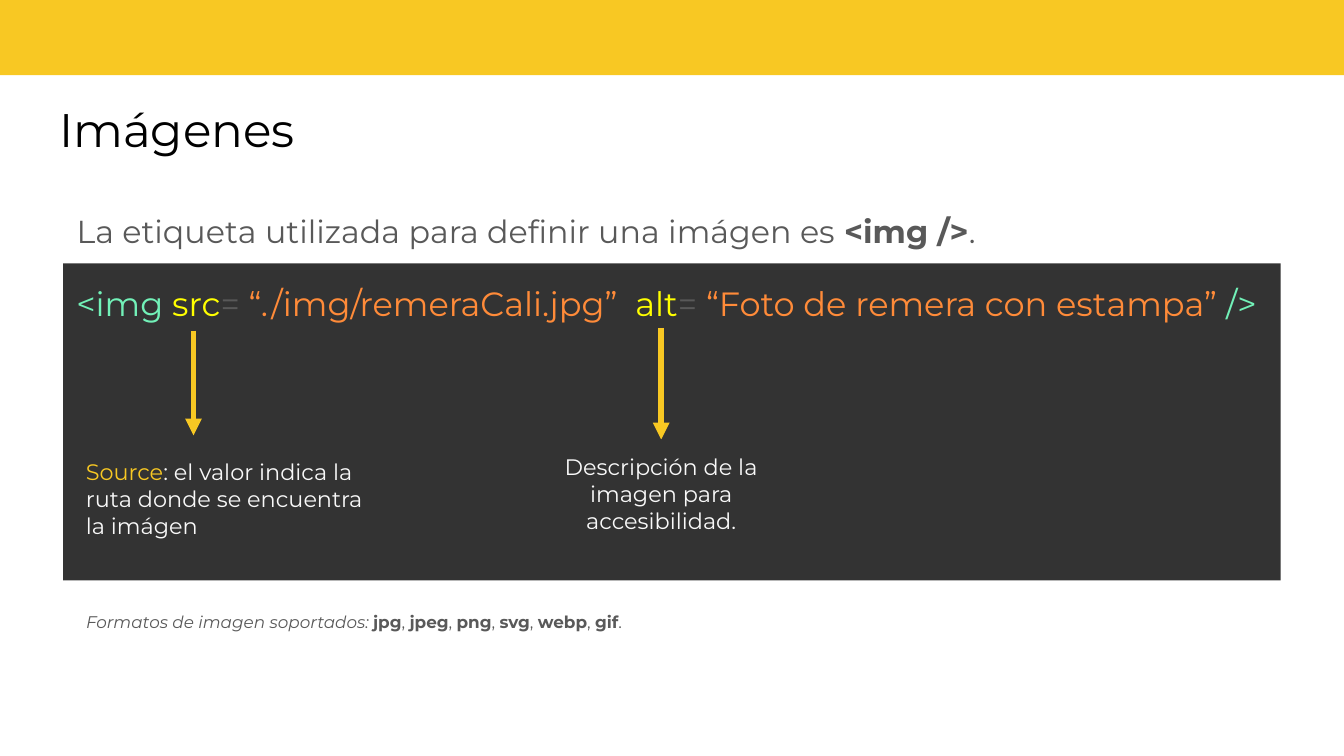
from pptx import Presentation
from pptx.dml.color import RGBColor
from pptx.enum.shapes import MSO_CONNECTOR, MSO_SHAPE
from pptx.enum.text import MSO_ANCHOR, MSO_AUTO_SIZE, PP_ALIGN
from pptx.oxml.ns import qn
from pptx.util import Inches, Pt
from lxml import etree

RECT = MSO_SHAPE.RECTANGLE
LINE = MSO_CONNECTOR.STRAIGHT
LEFT, CENTER = PP_ALIGN.LEFT, PP_ALIGN.CENTER

FONT = "Montserrat"
COLORS = {
    "yellow": "F8C823", "dark": "333333", "gray": "595959", "black": "000000",
    "light": "F9F9F9", "tag": "72F1B8", "attr": "FFFF00", "value": "FF8B39",
}
FRAME = {
    "word_wrap": True,
    "auto_size": MSO_AUTO_SIZE.NONE,
    "vertical_anchor": MSO_ANCHOR.TOP,
    **{f"margin_{side}": Inches(0.1)
       for side in ("left", "top", "right", "bottom")},
}
PLAIN = {"alignment": LEFT, "line_spacing": 1.0,
         "space_before": Pt(0), "space_after": Pt(0)}
MIDDLE = {**PLAIN, "alignment": CENTER}
LOOSE = {**PLAIN, "line_spacing": 1.15, "space_after": Pt(12)}

CODE = [
    ("<img ", "tag"), ("src", "attr"), ("= ", "gray"),
    ("“./img/remeraCali.jpg”  ", "value"), ("alt", "attr"), ("= ", "gray"),
    ("“Foto de remera con estampa” ", "value"), ("/>", "tag"),
]
FORMATS = ["jpg", "jpeg", "png", "svg", "webp", "gif"]


def color(name):
    return RGBColor.from_string(COLORS[name])


def apply(target, values):
    for name, value in values.items():
        setattr(target, name, value)


def write(shape, runs, size, style=PLAIN):
    """Fill a shape with one paragraph; a run is (text, color, font values)."""
    frame = shape.text_frame
    apply(frame, FRAME)
    para = frame.paragraphs[0]
    apply(para, style)
    for text, tone, *extra in runs:
        run = para.add_run()
        run.text = text
        apply(run.font, {"name": FONT, "size": Pt(size), "bold": False})
        run.font.color.rgb = color(tone)
        for values in extra:
            apply(run.font, values)
    return para


def place(shape, box):
    names = ("left", "top", "width", "height")
    apply(shape, dict(zip(names, map(Inches, box))))


def add_body(shape, box, runs, size):
    place(shape, box)
    props = write(shape, runs, size, LOOSE)._p.get_or_add_pPr()
    props.set("marL", "0")
    props.set("indent", "0")
    etree.SubElement(props, qn("a:buNone"))


def add_rect(slide, box, fill):
    shape = slide.shapes.add_shape(RECT, *map(Inches, box))
    shape.shadow.inherit = False
    shape.fill.solid()
    shape.fill.fore_color.rgb = color(fill)
    shape.line.fill.background()
    return shape


def add_arrow(slide, x, top, end):
    arrow = slide.shapes.add_connector(LINE, *map(Inches, (x, top, x, end)))
    arrow.line.color.rgb = color("yellow")
    arrow.line.width = Pt(3)
    props = arrow._element.spPr
    etree.SubElement(props.get_or_add_ln(), qn("a:tailEnd"), type="triangle")
    etree.SubElement(props, qn("a:effectLst"))


def main():
    deck = Presentation()
    deck.slide_width = Inches(10)
    deck.slide_height = deck.slide_width * 9 // 16
    slide = deck.slides.add_slide(deck.slide_layouts[3])
    title, intro, note = slide.placeholders

    add_rect(slide, (-0.01, -0.05, 10.03, 0.61), "yellow")
    place(title, (0.34, 0.65, 9.32, 0.63))
    write(title, [("Imágenes", "black")], 25.2)

    add_body(intro, (0.47, 1.43, 9.06, 0.49), [
        ("La etiqueta utilizada para definir una imágen es ", "gray"),
        ("<img />", "gray", {"bold": True}), (".", "gray"),
    ], 17)

    panel = add_rect(slide, (0.47, 1.96, 9.06, 2.36), "dark")
    write(panel, CODE, 18, LOOSE)

    add_arrow(slide, 1.44, 2.46, 3.24)
    source = add_rect(slide, (0.54, 3.31, 2.39, 0.81), "dark")
    write(source, [
        ("Source", "yellow"),
        (": el valor indica la ruta donde se encuentra la imágen", "light"),
    ], 12)

    add_arrow(slide, 4.92, 2.44, 3.27)
    detail = add_rect(slide, (3.86, 3.27, 2.12, 0.81), "dark")
    write(detail, [("Descripción de la imagen para accesibilidad.", "light")],
          12, MIDDLE)

    runs = [("Formatos de imagen soportados: ", "gray", {"italic": True})]
    for name in FORMATS:
        mark = "." if name == FORMATS[-1] else ", "
        runs += [(name, "gray", {"bold": True}), (mark, "gray")]
    add_body(note, (0.54, 4.43, 9.06, 0.35), runs, 9)

    deck.save("out.pptx")


if __name__ == "__main__":
    main()
